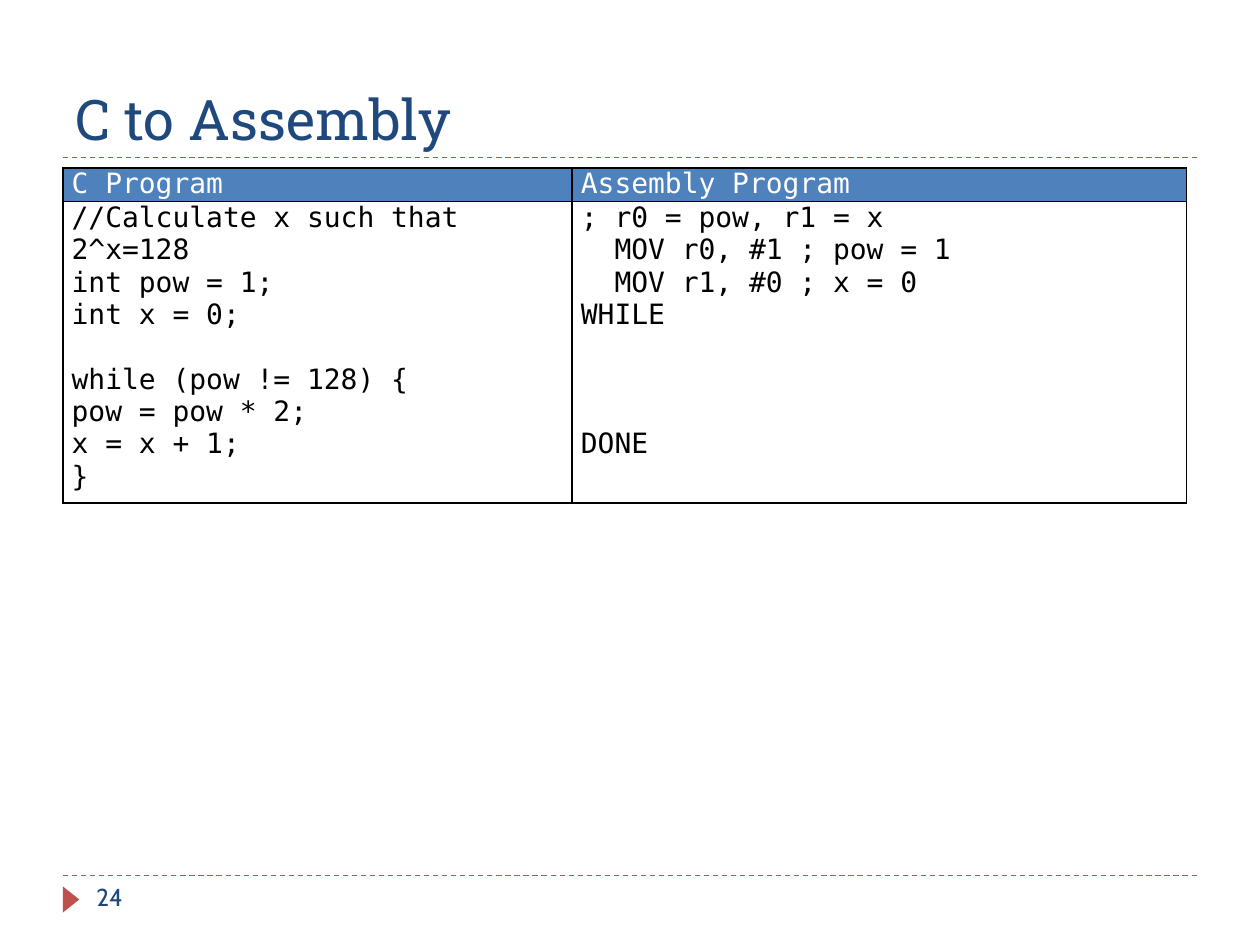
from lxml import etree
from pptx import Presentation
from pptx.dml.color import RGBColor
from pptx.enum.dml import MSO_LINE
from pptx.enum.shapes import MSO_CONNECTOR, MSO_SHAPE
from pptx.enum.text import MSO_ANCHOR as Anchor, PP_ALIGN as Align
from pptx.oxml import parse_xml
from pptx.oxml.ns import nsdecls, qn
from pptx.util import Pt

NAVY, RED, BLUE = "1F497D", "C0504D", "4F81BD"
BLACK, WHITE = "000000", "FFFFFF"
CODE_FONT = "DejaVu Sans Mono"
CODE_LINE = 18.5

C_PROGRAM = """//Calculate x such that 2^x=128
int pow = 1;
int x = 0;

while (pow != 128) {
pow = pow * 2;
x = x + 1;
}"""

ASSEMBLY_PROGRAM = """; r0 = pow, r1 = x
  MOV r0, #1 ; pow = 1
  MOV r1, #0 ; x = 0
WHILE



DONE"""


def rgb(value):
    return RGBColor.from_string(value)


def format_runs(paragraph, font_name, size, color):
    for run in paragraph.runs:
        run.font.name = font_name
        run.font.size = Pt(size)
        run.font.color.rgb = rgb(color)


def add_label(slide, box, text, font_name, size, anchor):
    label = slide.shapes.add_textbox(*map(Pt, box))
    frame = label.text_frame
    frame.word_wrap = True
    frame.vertical_anchor = anchor
    frame.text = text
    format_runs(frame.paragraphs[0], font_name, size, NAVY)


def add_rule(slide, left, right, y):
    rule = slide.shapes.add_connector(
        MSO_CONNECTOR.STRAIGHT, Pt(left), Pt(y), Pt(right), Pt(y))
    rule.line.color.rgb = rgb(RED)
    rule.line.width = Pt(0.75)
    rule.line.dash_style = MSO_LINE.DASH
    etree.SubElement(rule._element.spPr, qn("a:effectLst"))


def add_title(slide, left, top, width, height):
    add_label(slide, (left, top, width, height), "C to Assembly",
              "Roboto Slab", 32, Anchor.BOTTOM)
    add_rule(slide, left, left + width, top + height)


def add_footer(slide, left, top, width):
    add_rule(slide, left, left + width, top)
    marker = slide.shapes.add_shape(
        MSO_SHAPE.ISOSCELES_TRIANGLE,
        Pt(left - 2.9), Pt(top + 8.9), Pt(15), Pt(9.4))
    marker.rotation = 90
    marker.shadow.inherit = False
    marker.fill.solid()
    marker.fill.fore_color.rgb = rgb(RED)
    marker.line.fill.background()
    add_label(slide, (left + 12, top, 156, 29), "24", "Cabin", 14, Anchor.TOP)


def add_borders(cell):
    """Draw the four cell borders; they precede the fill in the schema."""
    properties = cell._tc.get_or_add_tcPr()
    for index, side in enumerate(("lnL", "lnR", "lnT", "lnB")):
        properties.insert(index, parse_xml(
            f'<a:{side} {nsdecls("a")} w="12700"><a:solidFill>'
            f'<a:srgbClr val="{BLACK}"/></a:solidFill></a:{side}>'))


def fill_cell(cell, code, color, background, align):
    """Write code into a cell, turning its empty lines into space before."""
    cell.margin_left = cell.margin_right = Pt(5)
    cell.margin_top = cell.margin_bottom = 0
    if background:
        cell.fill.solid()
        cell.fill.fore_color.rgb = rgb(background)
    else:
        cell.fill.background()
    add_borders(cell)

    lines = code.split("\n")
    cell.text_frame.text = "\n".join(line for line in lines if line)
    paragraphs = iter(cell.text_frame.paragraphs)
    gap = 0
    for line in lines:
        if not line:
            gap += CODE_LINE
            continue
        paragraph = next(paragraphs)
        paragraph.alignment = align
        if gap:
            paragraph.space_before = Pt(gap)
            gap = 0
        format_runs(paragraph, CODE_FONT, 16, color)


def add_code_table(slide, left, top, width, height):
    table = slide.shapes.add_table(
        2, 2, Pt(left), Pt(top), Pt(width), Pt(height)).table
    c_width = 291
    table.columns[0].width = Pt(c_width)
    table.columns[1].width = Pt(width - c_width)
    table.rows[0].height = Pt(CODE_LINE)
    table.rows[1].height = Pt(height - CODE_LINE)

    programs = (("C Program", C_PROGRAM, Align.LEFT),
                ("Assembly Program", ASSEMBLY_PROGRAM, Align.JUSTIFY))
    for column, (heading, code, align) in enumerate(programs):
        fill_cell(table.cell(0, column), heading, WHITE, BLUE, Align.JUSTIFY)
        fill_cell(table.cell(1, column), code, BLACK, None, align)


def main():
    deck = Presentation()
    deck.slide_width, deck.slide_height = Pt(720), Pt(540)
    slide = deck.slides.add_slide(deck.slide_layouts[6])
    add_footer(slide, 36, 500.4, 648)
    add_title(slide, 36, 12, 648, 78)
    add_code_table(slide, 36, 96, 642, 185)
    deck.save("out.pptx")


if __name__ == "__main__":
    main()
